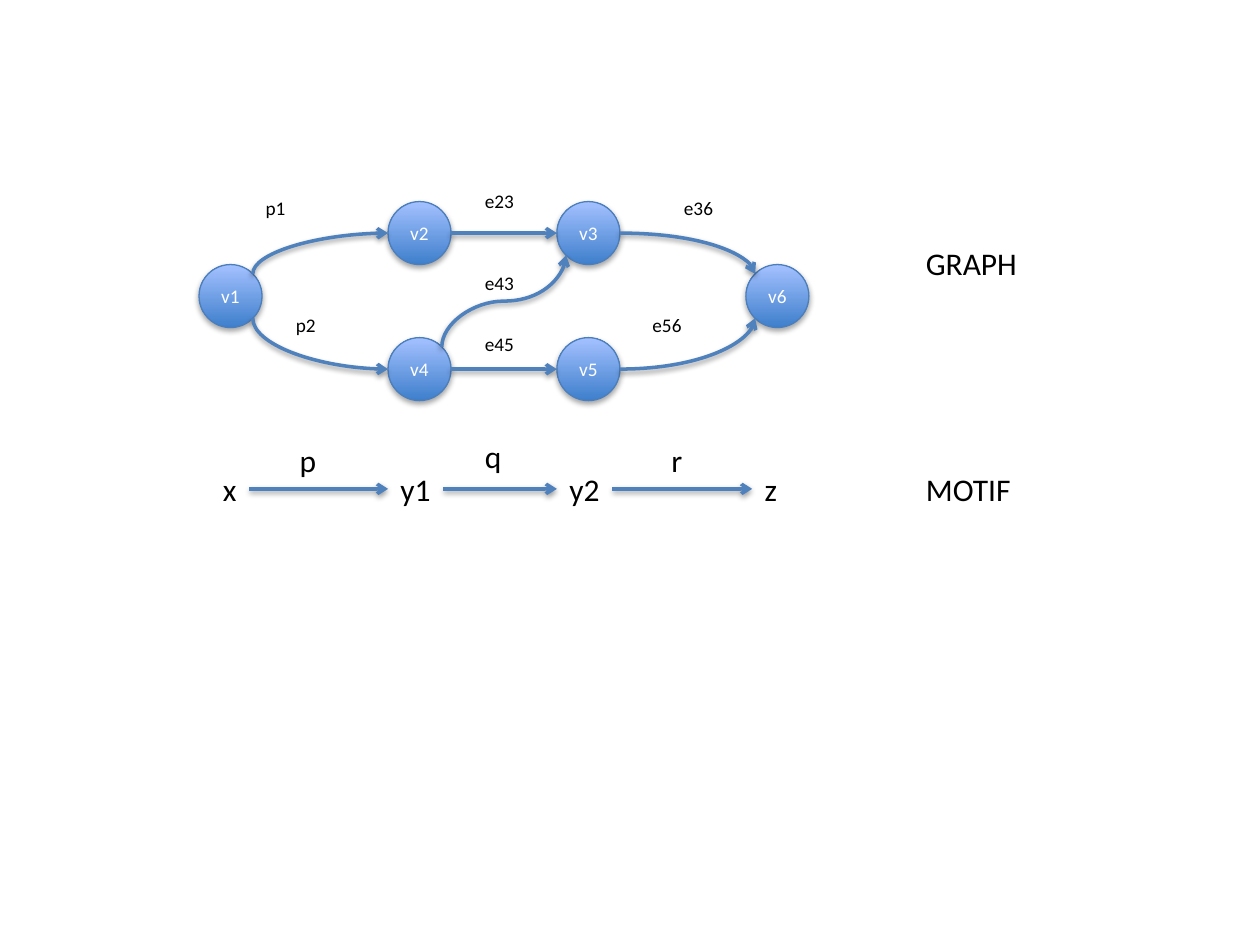
from pptx import Presentation
from pptx.dml.color import RGBColor
from pptx.enum.shapes import MSO_CONNECTOR as CONN, MSO_SHAPE as SHAPE
from pptx.enum.text import MSO_ANCHOR as ANCHOR, MSO_AUTO_SIZE as AUTO, PP_ALIGN as ALIGN
from pptx.oxml.ns import qn
from pptx.util import Inches, Pt
from lxml import etree

COLORS = {"edge": "4F81BD", "outline": "4B7EBC", "node_text": "FFFFFF", "text": "000000"}
FONT = "Calibri"
SMALL, LARGE = 11, 18
NODE = 0.5                      # node diameter
R, DIAG = NODE / 2, NODE / 2 * 0.707

# Node centres
NODES = {"v1": (1.83, 2.35), "v2": (3.33, 1.85), "v3": (4.67, 1.85),
         "v4": (3.33, 2.93), "v5": (4.67, 2.93), "v6": (6.17, 2.35)}

# Where an edge leaves or meets a node, as an offset from its centre
SITES = {"left": (-R, 0), "right": (R, 0), "top left": (-DIAG, -DIAG),
         "bottom left": (-DIAG, DIAG), "top right": (DIAG, -DIAG),
         "bottom right": (DIAG, DIAG)}

# From node, site, to node, site, preset geometry, starts vertically
EDGES = [
    ("v2", "right", "v3", "left", "straightConnector1", False),
    ("v1", "top right", "v2", "left", "curvedConnector2", True),
    ("v1", "bottom right", "v4", "left", "curvedConnector2", True),
    ("v4", "right", "v5", "left", "straightConnector1", False),
    ("v5", "right", "v6", "bottom left", "curvedConnector2", False),
    ("v3", "right", "v6", "top left", "curvedConnector2", False),
    ("v4", "top right", "v3", "bottom left", "curvedConnector3", True),
]

# Text, left, top, width
EDGE_LABELS = [("p1", 2.01, 1.51, 0.36), ("e23", 3.75, 1.45, 0.44),
               ("e36", 5.33, 1.51, 0.44), ("p2", 2.25, 2.44, 0.36),
               ("e45", 3.75, 2.59, 0.44), ("e56", 5.08, 2.44, 0.44),
               ("e43", 3.75, 2.1, 0.44)]
MOTIF = [("x", 1.67, 3.68, 0.31), ("y1", 3.08, 3.68, 0.44),
         ("y2", 4.42, 3.68, 0.44), ("z", 5.97, 3.68, 0.3)]
LARGE_LABELS = [("p", 2.28, 3.45, 0.33), ("q", 3.75, 3.42, 0.33),
                ("r", 5.23, 3.45, 0.29), ("MOTIF", 7.25, 3.68, 0.88),
                ("GRAPH", 7.25, 1.89, 0.93)]


def rgb(name):
    return RGBColor.from_string(COLORS[name])


def write(tf, text, size, color, **frame):
    for key, value in {"word_wrap": False, **frame}.items():
        setattr(tf, key, value)
    r = tf.paragraphs[0].add_run()
    r.text = text
    for key, value in {"name": FONT, "size": Pt(size)}.items():
        setattr(r.font, key, value)
    r.font.color.rgb = rgb(color)


def add_label(slide, text, left, top, width, size):
    height = 0.29 if size == SMALL else 0.4
    sp = slide.shapes.add_textbox(*map(Inches, (left, top, width, height)))
    write(sp.text_frame, text, size, "text", auto_size=AUTO.SHAPE_TO_FIT_TEXT)
    return sp


def add_node(slide, name, x, y):
    # The theme style supplies the gradient fill and soft shadow
    sp = slide.shapes.add_shape(SHAPE.OVAL, *map(Inches, (x - R, y - R, NODE, NODE)))
    sp.line.color.rgb = rgb("outline")
    sp.line.width = Pt(0.75)
    write(sp.text_frame, name, SMALL, "node_text", vertical_anchor=ANCHOR.MIDDLE)
    sp.text_frame.paragraphs[0].alignment = ALIGN.CENTER


def add_arrow(slide, kind, x1, y1, x2, y2):
    line = slide.shapes.add_connector(kind, *map(Inches, (x1, y1, x2, y2)))
    line.line.color.rgb = rgb("edge")
    line.line.width = Pt(2)
    etree.SubElement(line.line._get_or_add_ln(), qn("a:tailEnd"), type="arrow")
    return line


def add_edge(slide, start, start_site, end, end_site, geometry, vertical):
    (x1, y1), (x2, y2) = (
        (NODES[n][0] + SITES[s][0], NODES[n][1] + SITES[s][1])
        for n, s in ((start, start_site), (end, end_site)))
    if vertical:                # lay the curve out a quarter turn back, then rotate
        cx, cy, dx, dy = (x1 + x2) / 2, (y1 + y2) / 2, x2 - x1, y2 - y1
        x1, y1, x2, y2 = cx - dy / 2, cy + dx / 2, cx + dy / 2, cy - dx / 2
    kind = CONN.STRAIGHT if geometry.startswith("straight") else CONN.CURVE
    sp_pr = add_arrow(slide, kind, x1, y1, x2, y2)._element.spPr
    if kind == CONN.CURVE:
        sp_pr.find(qn("a:prstGeom")).set("prst", geometry)
    if vertical:
        sp_pr.find(qn("a:xfrm")).set("rot", str(90 * 60000))


def main():
    prs = Presentation()
    prs.slide_width, prs.slide_height = Inches(10), Inches(7.5)
    slide = prs.slides.add_slide(prs.slide_layouts[6])

    # Graph
    for name, centre in NODES.items():
        add_node(slide, name, *centre)
    for edge in EDGES:
        add_edge(slide, *edge)
    for label in EDGE_LABELS:
        add_label(slide, *label, SMALL)

    # Motif chain
    terms = [add_label(slide, *term, LARGE) for term in MOTIF]
    for a, b in zip(terms, terms[1:]):
        line = add_arrow(slide, CONN.STRAIGHT, 0, 0, 1, 1)
        line.begin_connect(a, 3)
        line.end_connect(b, 1)

    # Motif edge names and row titles
    for label in LARGE_LABELS:
        add_label(slide, *label, LARGE)
    prs.save("out.pptx")


if __name__ == "__main__":
    main()
